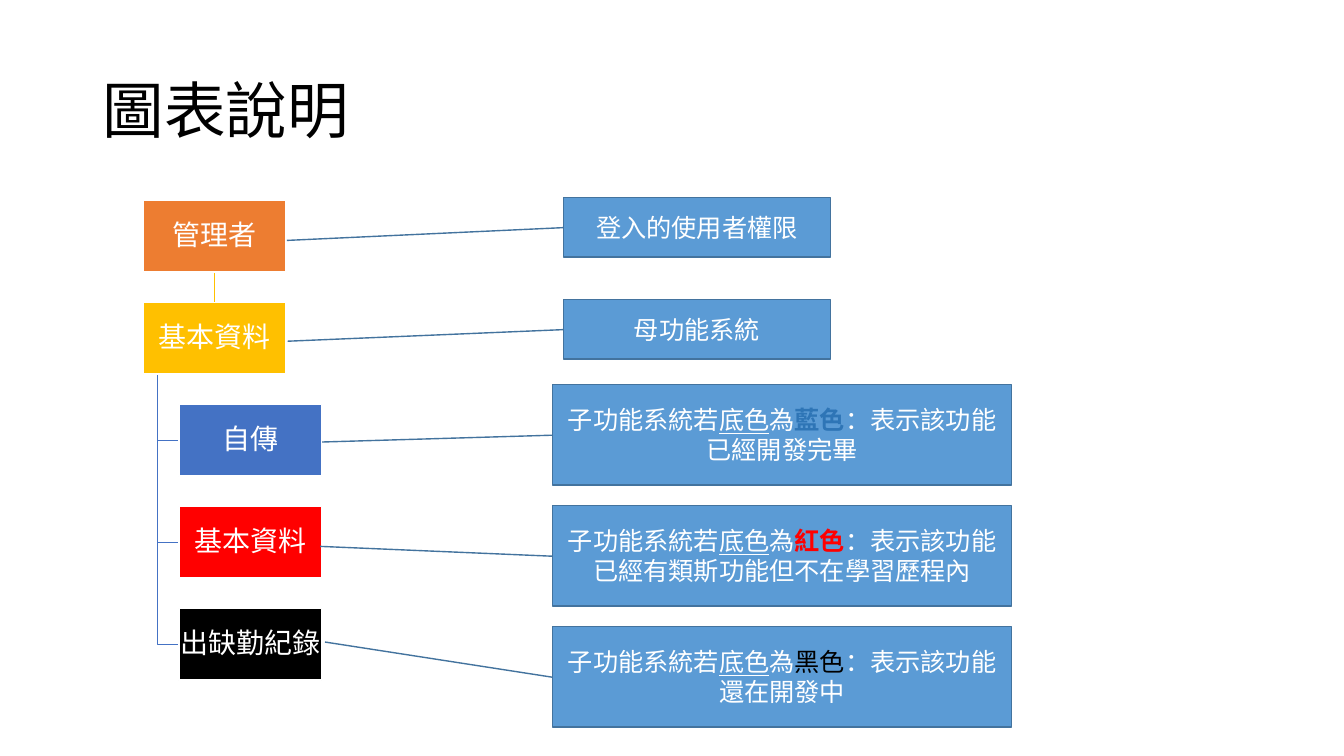
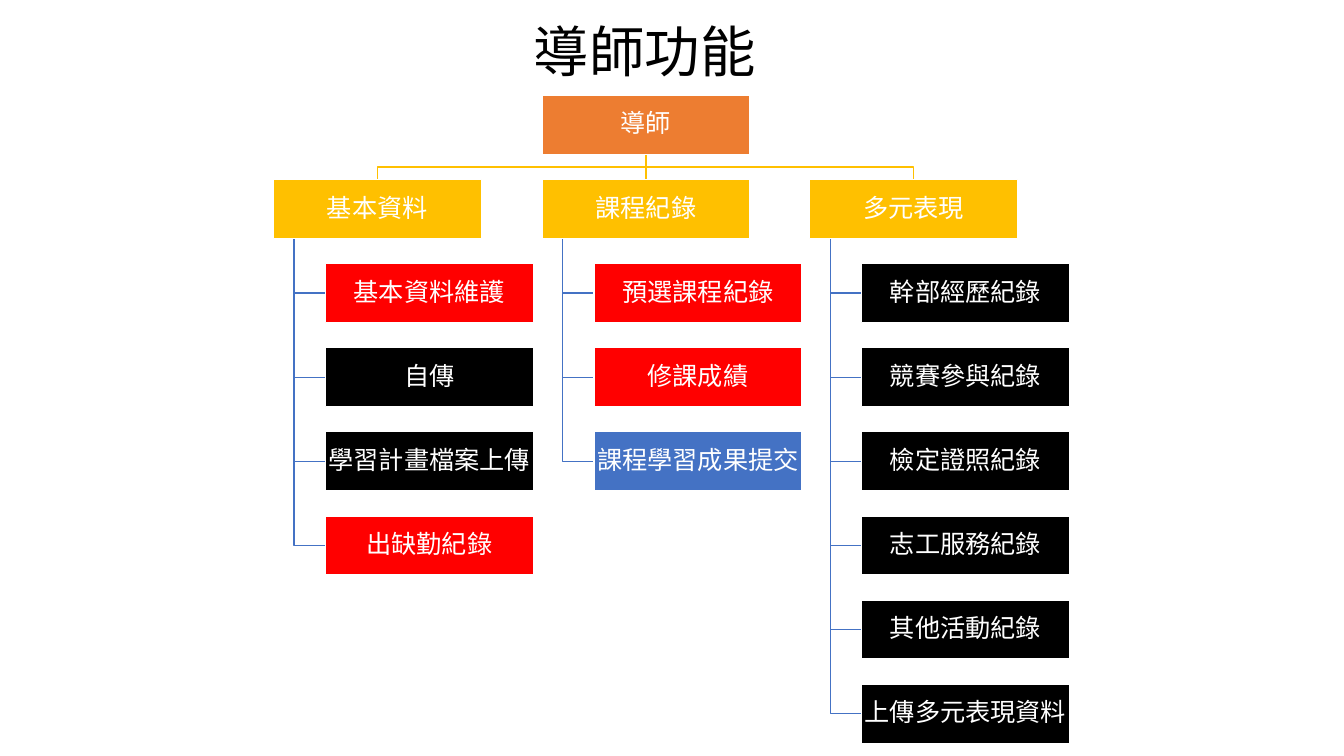
from dataclasses import dataclass

from lxml.etree import SubElement
from pptx import Presentation
from pptx.dml.color import RGBColor
from pptx.enum.shapes import MSO_CONNECTOR as CONNECTOR, MSO_SHAPE as SHAPE
from pptx.enum.text import MSO_ANCHOR as ANCHOR, MSO_AUTO_SIZE as AUTO_SIZE, PP_ALIGN as ALIGN
from pptx.oxml.ns import qn
from pptx.util import Cm, Pt

WHITE = RGBColor(0xFF, 0xFF, 0xFF)
BLACK = RGBColor(0x00, 0x00, 0x00)
RED = RGBColor(0xFF, 0x00, 0x00)
BLUE = RGBColor(0x44, 0x72, 0xC4)
ORANGE = RGBColor(0xED, 0x7D, 0x31)
GOLD = RGBColor(0xFF, 0xC0, 0x00)
NOTE_FILL = RGBColor(0x5B, 0x9B, 0xD5)
NOTE_LINE = RGBColor(0x43, 0x73, 0x9E)
NOTE_BLUE = RGBColor(0x2E, 0x75, 0xB6)

LATIN_FONT = "Calibri"
CJK_FONT = "Noto Sans CJK SC"


@dataclass
class Tree:
    """Sizes of an organisation tree, in centimetres."""
    top: float
    width: float
    height: float
    pitch: float
    text_size: int

    def row_top(self, row):
        return self.top + row * self.pitch


# Shared text and line styles
def style_paragraph(paragraph, size, color, align, latin=CJK_FONT):
    paragraph.alignment = align
    font = paragraph.font
    font.size = Pt(size)
    font.color.rgb = color
    font.name = latin
    defaults = paragraph._p.pPr.find(qn("a:defRPr"))
    SubElement(defaults, qn("a:ea")).set("typeface", CJK_FONT)


def style_shape(shape, fill, line):
    shape.shadow.inherit = False
    shape.fill.solid()
    shape.fill.fore_color.rgb = fill
    shape.line.color.rgb = line
    shape.line.width = Pt(1)
    shape.text_frame.word_wrap = True
    shape.text_frame.vertical_anchor = ANCHOR.MIDDLE


def add_titled_slide(deck, text, left, top, width, height, size, align):
    slide = deck.slides.add_slide(deck.slide_layouts[5])
    title = slide.shapes.title
    title.left, title.top, title.width, title.height = map(Cm, (left, top, width, height))
    frame = title.text_frame
    frame.text = text
    frame.auto_size = AUTO_SIZE.NONE
    frame.vertical_anchor = ANCHOR.MIDDLE
    paragraph = frame.paragraphs[0]
    paragraph.line_spacing = 0.9
    style_paragraph(paragraph, size, BLACK, align, LATIN_FONT)
    return slide


# Tree parts
def add_box(slide, tree, text, left, row, fill):
    box = slide.shapes.add_shape(
        SHAPE.RECTANGLE, *map(Cm, (left, tree.row_top(row), tree.width, tree.height)))
    style_shape(box, fill, WHITE)
    frame = box.text_frame
    frame.margin_left = frame.margin_right = Cm(0.02)
    frame.margin_top = frame.margin_bottom = Cm(0.02)
    frame.text = text
    paragraph = frame.paragraphs[0]
    paragraph.line_spacing = 0.9
    style_paragraph(paragraph, tree.text_size, WHITE, ALIGN.CENTER)


def add_branch(slide, points, color):
    corners = [(Cm(x), Cm(y)) for x, y in points]
    if len(corners) == 2:
        branch = slide.shapes.add_connector(CONNECTOR.STRAIGHT, *corners[0], *corners[1])
        SubElement(branch._element.spPr, qn("a:effectLst"))
    else:
        builder = slide.shapes.build_freeform(*corners[0])
        builder.add_line_segments(corners[1:], close=False)
        branch = builder.convert_to_shape()
        branch.fill.background()
        branch.shadow.inherit = False
    branch.line.color.rgb = color
    branch.line.width = Pt(1)


def add_root_branch(slide, tree, root_left, group_left):
    start, end = root_left + tree.width / 2, group_left + tree.width / 2
    top, bottom = tree.top + tree.height, tree.row_top(1)
    middle = (top + bottom) / 2
    bend = [] if start == end else [(start, middle), (end, middle)]
    add_branch(slide, [(start, top), *bend, (end, bottom)], GOLD)


def add_group(slide, tree, name, left, functions):
    """A gold parent system with its functions hanging below it."""
    stem = left + tree.width * 0.1
    function_left = left + tree.width * 0.25
    for row in range(len(functions) + 1, 1, -1):
        middle = tree.row_top(row) + tree.height / 2
        add_branch(slide, [(stem, tree.row_top(1) + tree.height),
                           (stem, middle), (function_left, middle)], BLUE)
    add_box(slide, tree, name, left, 1, GOLD)
    for row, (function, status) in enumerate(functions, start=2):
        add_box(slide, tree, function, function_left, row, status)


def add_tree(slide, tree, root, root_left, groups):
    for _, left, _ in groups:
        add_root_branch(slide, tree, root_left, left)
    add_box(slide, tree, root, root_left, 0, ORANGE)
    for name, left, functions in groups:
        add_group(slide, tree, name, left, functions)


# Callouts explaining the tree
def add_note(slide, left, top, width, height, target):
    note = slide.shapes.add_shape(
        SHAPE.LINE_CALLOUT_1, *map(Cm, (left, top, width, height)))
    target_x, target_y = target
    ends = (0.505, 0, (target_y - top) / height, (target_x - left) / width)
    for index, value in enumerate(ends):
        note.adjustments[index] = value
    style_shape(note, NOTE_FILL, NOTE_LINE)
    paragraph = note.text_frame.paragraphs[0]
    style_paragraph(paragraph, 18, WHITE, ALIGN.CENTER)
    return paragraph


def add_status_note(slide, top, target, color_name, color, bold, meaning):
    paragraph = add_note(slide, 13.93, top, 11.56, 2.53, target)
    paragraph.add_run().text = "子功能系統若"
    background = paragraph.add_run()
    background.text = "底色"
    background.font.underline = True
    paragraph.add_run().text = "為"
    status = paragraph.add_run()
    status.text = color_name
    status.font.color.rgb = color
    status.font.bold = bold
    paragraph.add_run().text = "：表示該功能" + meaning


def build_legend(deck):
    slide = add_titled_slide(deck, "圖表說明", 2.33, 1.01, 29.21, 3.68, 44, ALIGN.LEFT)
    tree = Tree(top=5.06, width=3.6, height=1.8, pitch=2.57, text_size=20)
    functions = [("自傳", BLUE), ("基本資料", RED), ("出缺勤紀錄", BLACK)]
    add_tree(slide, tree, "管理者", 3.61, [("基本資料", 3.61, functions)])

    level_notes = [
        ("登入的使用者權限", (7.23, 6.06)),
        ("母功能系統", (7.25, 8.6)),
    ]
    for row, (text, target) in enumerate(level_notes):
        note = add_note(slide, 14.2, 4.98 + row * tree.pitch, 6.73, 1.5, target)
        note.add_run().text = text

    status_notes = [
        ((8.12, 11.14), "藍色", NOTE_BLUE, True, "已經開發完畢"),
        ((8.07, 13.77), "紅色", RED, True, "已經有類斯功能但不在學習歷程內"),
        ((8.19, 16.18), "黑色", BLACK, False, "還在開發中"),
    ]
    for row, status_note in enumerate(status_notes):
        add_status_note(slide, 9.69 + row * 3.05, *status_note)


def build_tutor_functions(deck):
    slide = add_titled_slide(deck, "導師功能", 2.39, 0.5, 27.71, 1.73, 39.6, ALIGN.CENTER)
    tree = Tree(top=2.4, width=5.24, height=1.49, pitch=2.12, text_size=18)
    activities = ["幹部經歷紀錄", "競賽參與紀錄", "檢定證照紀錄",
                  "志工服務紀錄", "其他活動紀錄", "上傳多元表現資料"]
    groups = [
        ("基本資料", 6.89, [("基本資料維護", RED), ("自傳", BLACK),
                        ("學習計畫檔案上傳", BLACK), ("出缺勤紀錄", RED)]),
        ("課程紀錄", 13.66, [("預選課程紀錄", RED), ("修課成績", RED),
                         ("課程學習成果提交", BLUE)]),
        ("多元表現", 20.4, [(activity, BLACK) for activity in activities]),
    ]
    add_tree(slide, tree, "導師", 13.66, groups)


def main():
    deck = Presentation()
    deck.slide_width, deck.slide_height = Cm(33.87), Cm(19.05)
    build_legend(deck)
    build_tutor_functions(deck)
    deck.save("out.pptx")


main()
